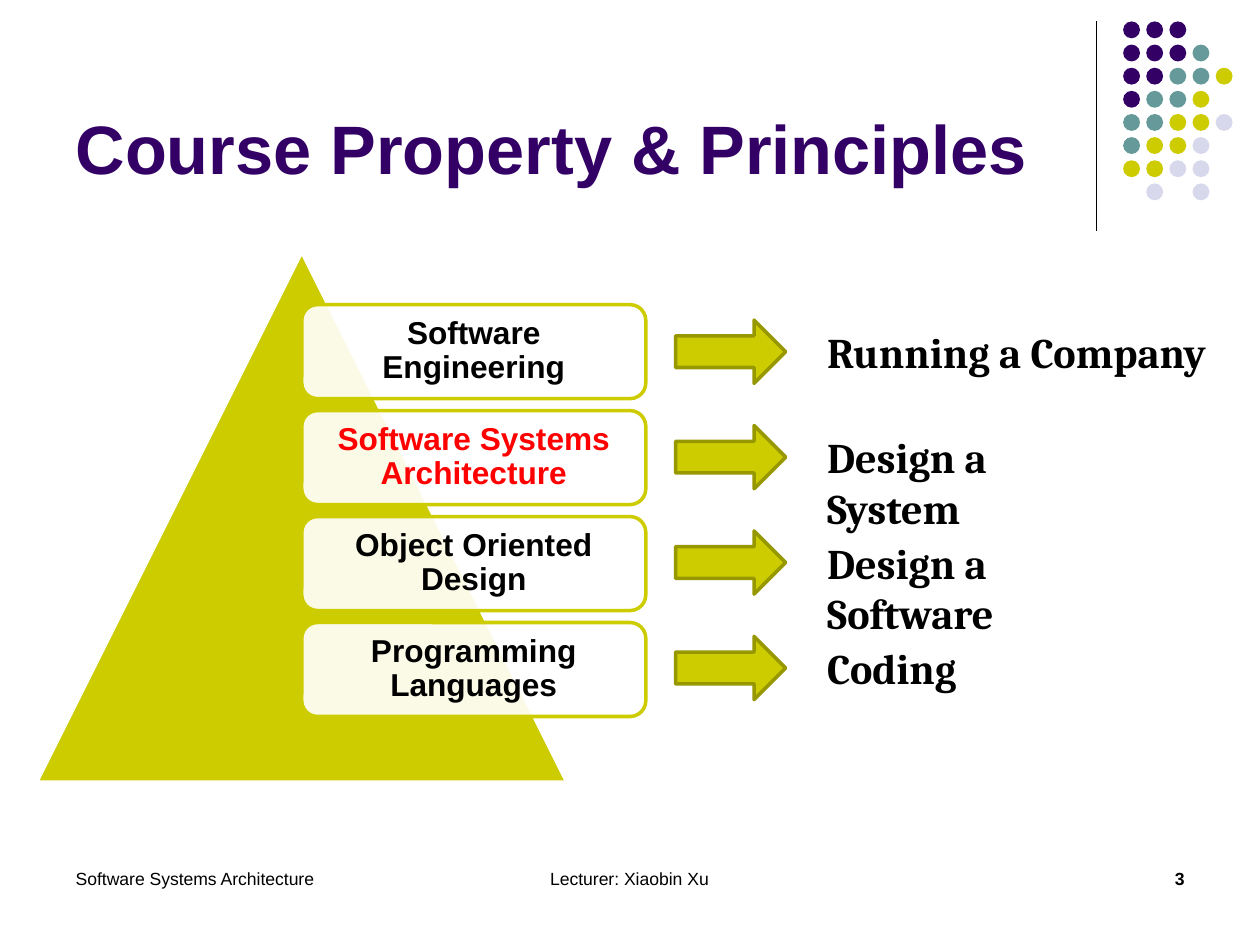
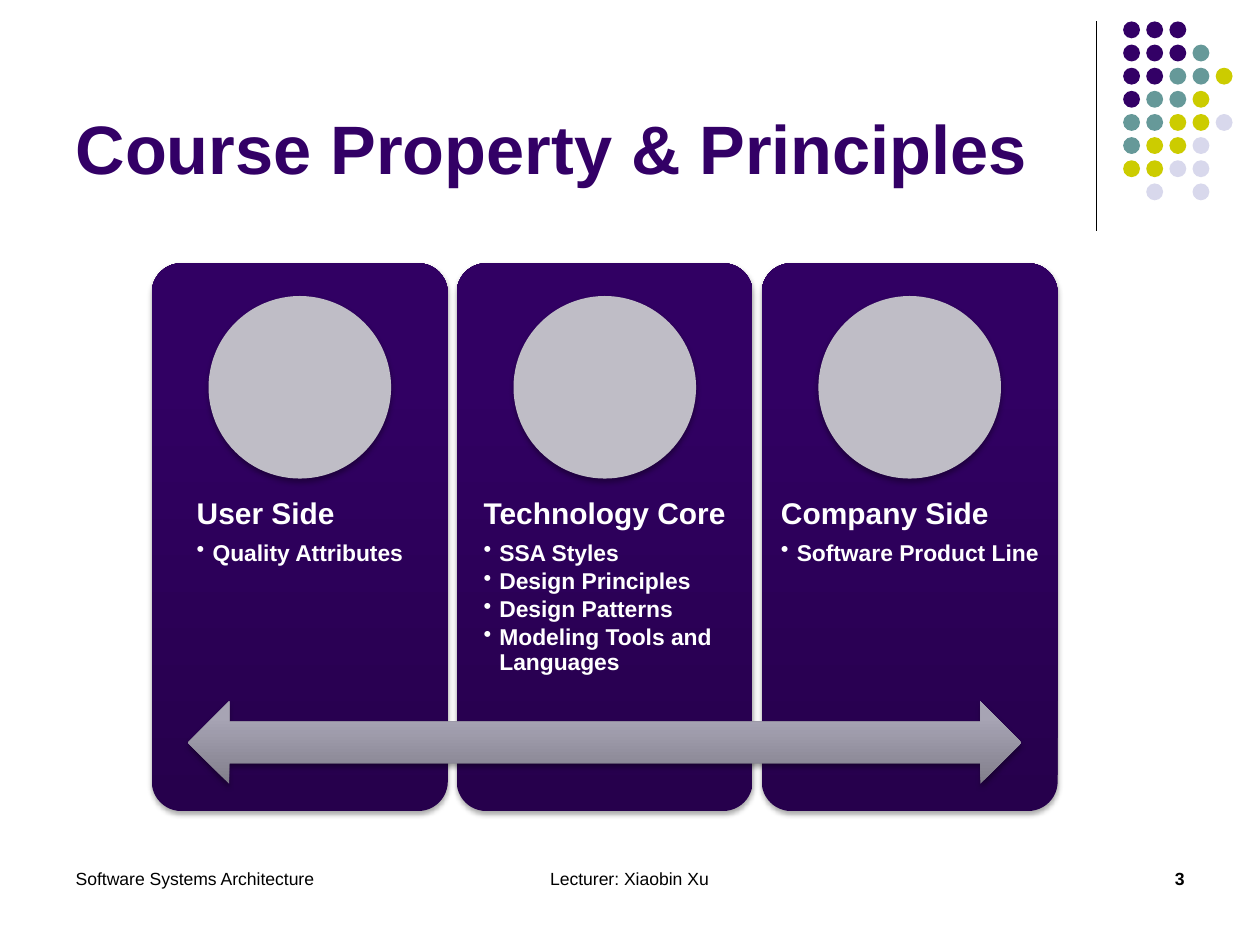
from lxml.etree import SubElement as Sub
from pptx import Presentation
from pptx.dml.color import RGBColor
from pptx.enum.shapes import MSO_CONNECTOR as Link, MSO_SHAPE as Form
from pptx.enum.text import MSO_ANCHOR as Anchor, PP_ALIGN as Align
from pptx.oxml.ns import qn
from pptx.util import Pt

WIDE, HIGH = 717.12, 537.84
PLUM, TEAL, LIME, MIST = "330066", "669999", "CCCC00", "D8D8EC"
BLACK, WHITE, RED = "000000", "FFFFFF", "FF0000"
OLIVE, GREY = "979700", "BFBDC6"
INKS = {"P": PLUM, "T": TEAL, "Y": LIME, "L": MIST}
DOTS = ("PPP", "PPPT", "PPTTY", "PTTY", "TTYYL", "TYYL", "YYLL", ".L.L")
TITLE = "Course Property & Principles"
LEVELS = (
    ("Software Engineering", BLACK, "Running a Company", 232),
    ("Software Systems Architecture", RED, "Design a System", 183),
    ("Object Oriented Design", BLACK, "Design a Software", 201.6),
    ("Programming Languages", BLACK, "Coding", 110),
)
SIDES = (
    ("User Side", ("Quality Attributes",)),
    ("Technology Core", ("SSA Styles", "Design Principles", "Design Patterns",
                         "Modeling Tools and Languages")),
    ("Company Side", ("Software Product Line",)),
)


def ink(code):
    """Turn a hex string into a colour."""
    return RGBColor.from_string(code)


def draw(slide, form, box, fill, edge=None):
    """Add a flat preset shape with an optional 2 pt outline."""
    shape = slide.shapes.add_shape(form, *map(Pt, box))
    shape.shadow.inherit = False
    shape.fill.solid()
    shape.fill.fore_color.rgb = ink(fill)
    if edge:
        shape.line.color.rgb = ink(edge)
        shape.line.width = Pt(2)
    else:
        shape.line.fill.background()
    return shape


def blend(shape, low, high):
    """Fill a shape with a gradient that rises from low to high."""
    shape.fill.gradient()
    shape.fill.gradient_angle = 90
    for stop, code, place in zip(shape.fill.gradient_stops, (low, high), (0, 0.8)):
        stop.color.rgb = ink(code)
        stop.position = place


def shade(shape):
    """Give a shape a soft shadow below it."""
    effects = shape._element.spPr.find(qn("a:effectLst"))
    cast = Sub(effects, qn("a:outerShdw"), blurRad=str(Pt(3.1)),
               dist=str(Pt(1.8)), dir="5400000", rotWithShape="0")
    tone = Sub(cast, qn("a:srgbClr"), val=BLACK)
    Sub(tone, qn("a:alpha"), val="35000")


def frame(shape, inset=(7.2, 3.6, 7.2, 3.6), anchor=Anchor.TOP):
    """Set up wrapping, margins and anchor, and return the text frame."""
    text = shape.text_frame
    text.word_wrap = True
    text.vertical_anchor = anchor
    text.margin_left, text.margin_top, text.margin_right, text.margin_bottom = map(Pt, inset)
    return text


def write(para, words, size, color=BLACK, bold=True, font="Arial", align=Align.LEFT):
    """Add one styled run to a paragraph."""
    para.alignment = align
    run = para.add_run()
    run.text = words
    run.font.name, run.font.size, run.font.bold = font, Pt(size), bold
    run.font.color.rgb = ink(color)


def label(slide, box, words, size, anchor=Anchor.TOP, **style):
    """Add a text box that holds one run."""
    text = frame(slide.shapes.add_textbox(*map(Pt, box)), anchor=anchor)
    write(text.paragraphs[0], words, size, **style)


def dots(slide, left, top):
    """Draw the corner pattern of dots and the rule beside it."""
    rule = slide.shapes.add_connector(Link.STRAIGHT, Pt(left - 15), Pt(top),
                                      Pt(left - 15), Pt(top + 119.5))
    rule.line.color.rgb = ink(BLACK)
    rule.line.width = Pt(0.75)
    Sub(rule._element.spPr, qn("a:effectLst"))
    step, size = 13.17, 9.6
    for row, line in enumerate(DOTS):
        for col, key in enumerate(line):
            if key in INKS:
                box = (left + col * step, top + row * step, size, size)
                draw(slide, Form.OVAL, box, INKS[key])


def base(deck):
    """Add a slide with the shared title, corner pattern and footer."""
    slide = deck.slides.add_slide(deck.slide_layouts[6])
    dots(slide, 639.2, 12.2)
    label(slide, (36, 9.4, 592, 101.5), TITLE, 39, Anchor.BOTTOM, color=PLUM)
    foot = 490.3
    label(slide, (36, foot, 167, 36), "Software Systems Architecture", 10, bold=False)
    label(slide, (244.8, foot, 226.8, 36), "Lecturer: Xiaobin Xu", 10,
          bold=False, align=Align.CENTER)
    label(slide, (661.6, foot, 24, 20), "3", 10)
    return slide


def level(slide, left, top, name, color, task, width):
    """Draw one level: its box, an arrow and the task it stands for."""
    card = draw(slide, Form.ROUNDED_RECTANGLE, (left, top, 195.8, 53.5), WHITE, LIME)
    tone = card._element.spPr.find(qn("a:solidFill"))[0]
    Sub(tone, qn("a:alpha"), val="90000")
    para = frame(card, (7.5,) * 4, Anchor.MIDDLE).paragraphs[0]
    para.line_spacing = 0.9
    write(para, name, 18, color, align=Align.CENTER)


def task(slide, left, top, words, width):
    """Draw an arrow and the task it points to."""
    draw(slide, Form.RIGHT_ARROW, (left, top, 62.7, 36), LIME, OLIVE)
    label(slide, (left + 79.2, top, width, 36), words, 24, font="Cambria")


def stack(slide, left, top, size):
    """Draw the pyramid with its levels and their tasks."""
    draw(slide, Form.ISOSCELES_TRIANGLE, (left, top, size, size), LIME, WHITE)
    for row, (name, color, words, width) in enumerate(LEVELS):
        level(slide, left + size / 2, top + 30 + row * 60.3, name, color, words, width)
        task(slide, left + 363.6, top + 38.8 + row * 60, words, width)


def panel(slide, left, top, width, height, head, items):
    """Draw one panel with a disc, a heading and bullets."""
    card = draw(slide, Form.ROUNDED_RECTANGLE, (left, top, width, height), PLUM)
    card.adjustments[0] = 0.1
    blend(card, "26004C", "310063")
    shade(card)
    disc = 103.9
    shade(draw(slide, Form.OVAL, (left + (width - disc) / 2, top + 18.7, disc, disc), GREY))
    area = slide.shapes.add_textbox(Pt(left), Pt(top + 124.6), Pt(width), Pt(124.6))
    text = frame(area, (9.4,) * 4)
    text._txBody.bodyPr.set("anchorCtr", "1")
    para = text.paragraphs[0]
    para.line_spacing, para.space_after = 0.9, Pt(6)
    write(para, head, 17, WHITE)
    for item in items:
        para = text.add_paragraph()
        para.line_spacing, para.space_after = 0.9, Pt(2)
        write(para, item, 13, WHITE)
        props = para._p.get_or_add_pPr()
        props.set("marL", str(Pt(9)))
        props.set("indent", str(Pt(-9)))
        Sub(props, qn("a:buChar"), char="•")


def sides(slide, left, top, width, height):
    """Draw the row of panels and the arrow across them."""
    gap = 5.05
    each = (width - gap * (len(SIDES) - 1)) / len(SIDES)
    for col, (head, items) in enumerate(SIDES):
        panel(slide, left + col * (each + gap), top, each, height, head, items)
    inset = width * 0.04
    arrow = draw(slide, Form.LEFT_RIGHT_ARROW,
                 (left + inset, top + height * 0.8, width - 2 * inset, 46.8), GREY)
    blend(arrow, "817E8B", "A7A4B4")
    shade(arrow)


def main():
    """Build both slides and save the deck."""
    deck = Presentation()
    deck.slide_width, deck.slide_height = Pt(WIDE), Pt(HIGH)
    stack(base(deck), 20.9, 143.4, 301.7)
    sides(base(deck), 86.4, 149.8, 515.6, 311.8)
    deck.save("out.pptx")


if __name__ == "__main__":
    main()
